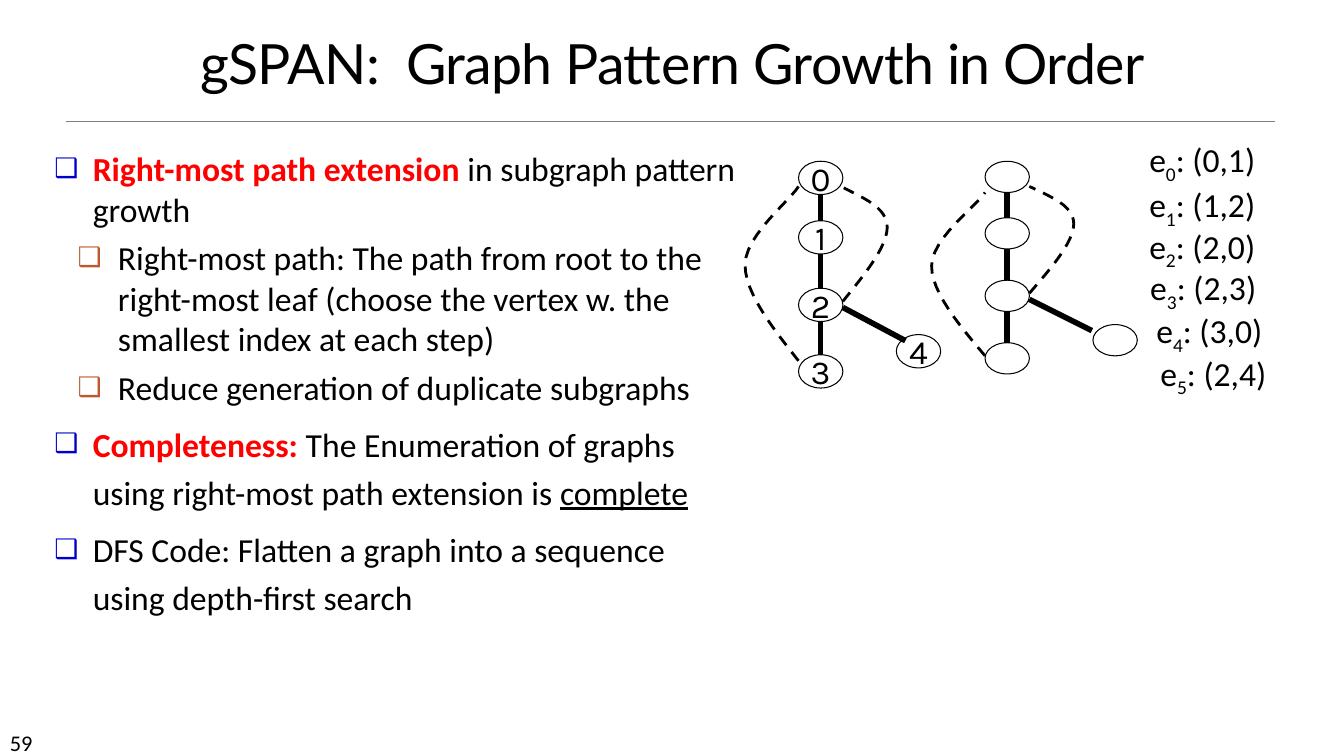
from dataclasses import dataclass
from typing import Any

from lxml import etree
from pptx import Presentation
from pptx import util as u
from pptx.dml.color import RGBColor
from pptx.enum import dml, shapes, text
from pptx.oxml.ns import qn

# Grid: square cells, ten to the inch
CELL = u.Inches(0.1)
NODE_WIDTH = 4.4
BLACK, RED, BLUE, RUST, GREY = "000000", "FF0000", "0000CC", "BD582C", "808080"


@dataclass
class Span:
    words: str
    format: dict[str, Any]
    color: str = BLACK


@dataclass
class Bullet:
    level: int
    spacing: float
    spans: list[Span]


@dataclass
class BulletStyle:
    color: str
    margin: float
    hanging: float


@dataclass
class Graph:
    left: float
    node_height: float
    spine_tops: list[float]
    leaf: tuple[float, float]
    leaf_edge: tuple[float, float]
    left_arc: tuple[float, float]   # top and height
    right_arc: tuple[float, float]
    labels: list[str]


@dataclass
class EdgeLabel:
    left: float
    top: float
    vertices: str


BODY = {"name": "Calibri", "size": u.Pt(24), "bold": False}
STRONG = BODY | {"bold": True}
BULLET_STYLES = [BulletStyle(BLUE, 3.8, 3.8), BulletStyle(RUST, 6.3, 4)]
BULLETS = [
    Bullet(0, 1, [Span("Right-most path extension ", STRONG, RED),
                  Span("in subgraph pattern growth", BODY)]),
    Bullet(1, 1, [Span("Right-most path: The path from root to the right-most leaf "
                       "(choose the vertex w. the smallest index at each step)", BODY)]),
    Bullet(1, 1, [Span("Reduce generation of duplicate subgraphs", BODY)]),
    Bullet(0, 1.2, [Span("Completeness:", STRONG, RED),
                    Span(" The Enumeration of graphs using right-most path extension is ", BODY),
                    Span("complete", BODY | {"underline": True})]),
    Bullet(0, 1.2, [Span("DFS Code: Flatten a graph into a sequence using "
                         "depth-first search", BODY)]),
]
GRAPHS = [
    Graph(79.2, 3.3, [16, 21.9, 28.6, 35.2], (88.9, 33.2), (30.5, 33.8),
          (18.5, 17.3), (18.6, 11.3), ["0", "1", "2", "3", "4"]),
    Graph(97.7, 3.1, [16, 21.6, 27.8, 34], (108.4, 32.2), (29.7, 32.8),
          (19.1, 16.2), (18.5, 10.6), [""] * 5),
]
EDGE_LABELS = [
    EdgeLabel(113, 13.3, "(0,1)"), EdgeLabel(113, 17.8, "(1,2)"),
    EdgeLabel(113, 21.9, "(2,0)"), EdgeLabel(113.1, 26, "(2,3)"),
    EdgeLabel(113.7, 30.3, "(3,0)"), EdgeLabel(114.1, 34.5, "(2,4)"),
]
# Arc control points from bottom to top: x in cells, y as share of the arc's height
LEFT_ARC = [(0, 1), (-2.6, 0.81), (-5.3, 0.61), (-5.3, 0.45), (-5.3, 0.28), (-0.8, 0.08), (0, 0)]
RIGHT_ARC = [(0, 1), (2.2, 0.76), (4.4, 0.52), (4.4, 0.35), (4.4, 0.18), (2.2, 0.1), (0, 0)]


def cells(*lengths: float) -> list[int]:
    return [round(length * CELL) for length in lengths]


def color_of(hex_value: str) -> RGBColor:
    return RGBColor.from_string(hex_value)


def apply(target: Any, values: dict[str, Any]) -> None:
    for name, value in values.items():
        setattr(target, name, value)


def place(shape: Any, *box: float) -> None:
    apply(shape, dict(zip(("left", "top", "width", "height"), cells(*box))))


def add_span(paragraph: Any, span: Span) -> Any:
    run = paragraph.add_run()
    run.text = span.words
    apply(run.font, span.format)
    run.font.color.rgb = color_of(span.color)
    return run


def style_line(line: Any, width: float, color: str = BLACK) -> None:
    line.color.rgb = color_of(color)
    line.width = u.Pt(width)


def add_line(slide: Any, ends: tuple[float, ...], width: float, color: str = BLACK) -> Any:
    connector = slide.shapes.add_connector(shapes.MSO_CONNECTOR.STRAIGHT, *cells(*ends))
    style_line(connector.line, width, color)
    etree.SubElement(connector._element.spPr, qn("a:effectLst"))
    return connector


def add_text(slide: Any, box: tuple[float, ...], spans: list[Span]) -> list[Any]:
    frame = slide.shapes.add_textbox(*cells(*box)).text_frame
    frame.word_wrap = False
    return [add_span(frame.paragraphs[0], span) for span in spans]


def add_bullet(paragraph: Any, bullet: Bullet, first: bool) -> None:
    style = BULLET_STYLES[bullet.level]
    paragraph.level = bullet.level
    properties = paragraph._p.get_or_add_pPr()
    margin, hanging = cells(style.margin, style.hanging)
    properties.set("marL", str(margin))
    properties.set("indent", str(-hanging))
    color = etree.SubElement(properties, qn("a:buClr"))
    etree.SubElement(color, qn("a:srgbClr"), val=style.color)
    etree.SubElement(properties, qn("a:buSzPct"), val="80000")
    etree.SubElement(properties, qn("a:buChar"), char="❑")
    apply(paragraph, {"line_spacing": bullet.spacing, "space_before": u.Pt(0 if first else 6),
                      "alignment": text.PP_ALIGN.LEFT})
    for span in bullet.spans:
        add_span(paragraph, span)


def add_node(slide: Any, left: float, top: float, height: float, label: str) -> Any:
    node = slide.shapes.add_shape(shapes.MSO_SHAPE.OVAL, *cells(left, top, NODE_WIDTH, height))
    node.shadow.inherit = False
    node.fill.background()
    style_line(node.line, 0.75)
    if label:
        apply(node.text_frame, {"word_wrap": False, "vertical_anchor": text.MSO_ANCHOR.MIDDLE})
        paragraph = node.text_frame.paragraphs[0]
        paragraph.alignment = text.PP_ALIGN.CENTER
        add_span(paragraph, Span(label, {"name": "Karla", "size": u.Pt(24)}))
    return node


def add_arc(slide: Any, left: float, extent: tuple[float, float],
            controls: list[tuple[float, float]], steps: int = 12) -> None:
    top, height = extent
    points = []
    for curve in (controls[:4], controls[3:]):
        for step in range(steps + 1):
            t = step / steps
            weights = ((1 - t) ** 3, 3 * t * (1 - t) ** 2, 3 * t * t * (1 - t), t ** 3)
            x, y = (sum(w * c[axis] for w, c in zip(weights, curve)) for axis in (0, 1))
            points.append(tuple(cells(left + x, top + y * height)))
    builder = slide.shapes.build_freeform(*points[0])
    builder.add_line_segments(points[1:], close=False)
    arc = builder.convert_to_shape()
    arc.shadow.inherit = False
    arc.fill.background()
    style_line(arc.line, 2)
    arc.line.dash_style = dml.MSO_LINE.DASH


def add_graph(slide: Any, graph: Graph) -> None:
    middle, right = graph.left + NODE_WIDTH / 2, graph.left + NODE_WIDTH
    positions = [(graph.left, top) for top in graph.spine_tops] + [graph.leaf]
    nodes = [add_node(slide, *position, graph.node_height, label)
             for position, label in zip(positions, graph.labels)]
    for upper, lower, node in zip(graph.spine_tops, graph.spine_tops[1:], nodes[1:]):
        edge = add_line(slide, (middle, upper + graph.node_height, middle, lower), 4)
        edge.end_connect(node, 0)
    start, end = graph.leaf_edge
    add_line(slide, (right, start, right + 6.2, end), 4)
    add_arc(slide, graph.left, graph.left_arc, LEFT_ARC)
    add_arc(slide, right, graph.right_arc, RIGHT_ARC)


def main() -> None:
    presentation = Presentation()
    apply(presentation, {"slide_width": u.Inches(13.33), "slide_height": u.Inches(7.5)})
    slide = presentation.slides.add_slide(presentation.slide_layouts[1])
    title, body = slide.placeholders

    # Title, rule and page number
    place(title, 5.6, 3.3, 122.2, 6.7)
    apply(title.text_frame, {"auto_size": text.MSO_AUTO_SIZE.NONE,
                             "vertical_anchor": text.MSO_ANCHOR.BOTTOM})
    heading = title.text_frame.paragraphs[0]
    apply(heading, {"alignment": text.PP_ALIGN.CENTER, "line_spacing": 0.85})
    run = add_span(heading, Span("gSPAN:  Graph Pattern Growth in Order",
                                 {"name": "Lato", "size": u.Pt(39.6)}))
    run._r.get_or_add_rPr().set("spc", "-50")
    add_line(slide, (6.5, 12, 126.5, 12), 0.5, GREY)
    add_text(slide, (0, 71.8, 11.7, 3), [Span("59", {"name": "Calibri", "size": u.Pt(16)})])

    # Bullet list
    place(body, 4.4, 14.2, 69.7, 55.8)
    frame = body.text_frame
    frame.auto_size = text.MSO_AUTO_SIZE.NONE
    for index, bullet in enumerate(BULLETS):
        paragraph = frame.add_paragraph() if index else frame.paragraphs[0]
        add_bullet(paragraph, bullet, index == 0)

    # Graphs and their edge sequence
    for graph in GRAPHS:
        add_graph(slide, graph)
    for index, label in enumerate(EDGE_LABELS):
        spans = [Span(words, BODY) for words in ("e", str(index), f": {label.vertices}")]
        runs = add_text(slide, (label.left, label.top, 12.8, 5), spans)
        runs[1]._r.get_or_add_rPr().set("baseline", "-25000")

    presentation.save("out.pptx")


if __name__ == "__main__":
    main()
